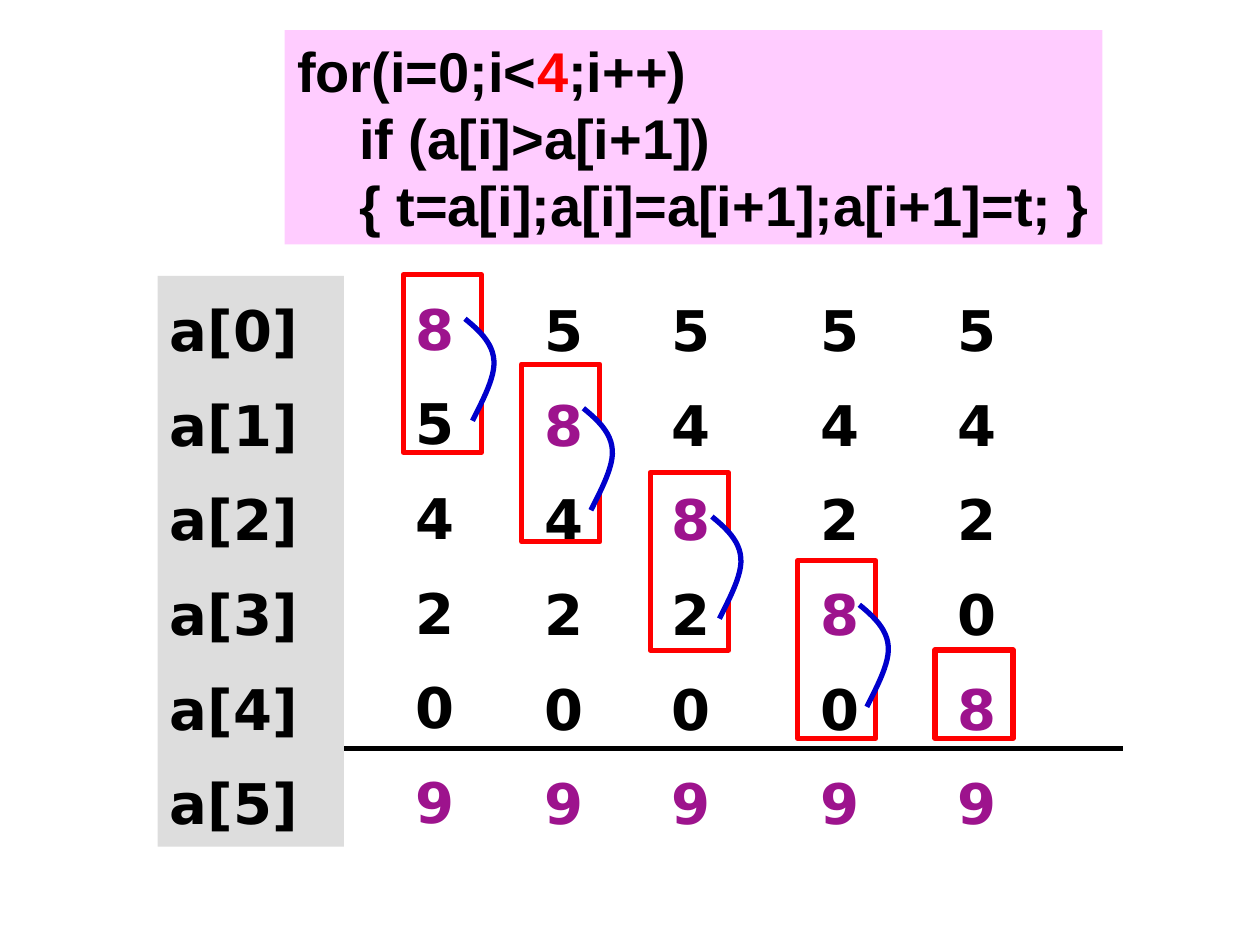
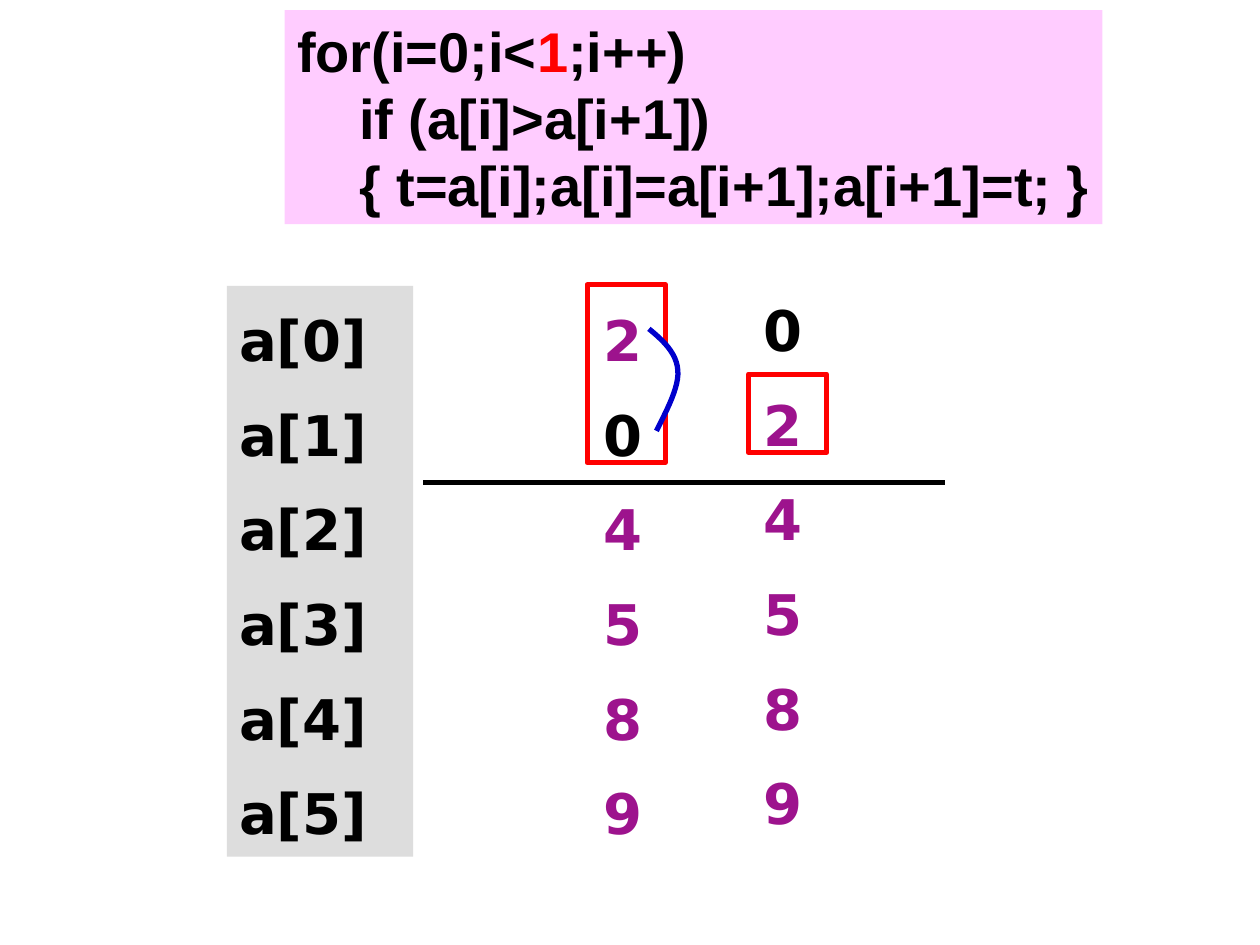
from dataclasses import dataclass

from lxml import etree
from pptx import Presentation
from pptx.dml.color import RGBColor
from pptx.enum.shapes import MSO_CONNECTOR, MSO_SHAPE
from pptx.enum.text import MSO_ANCHOR, MSO_AUTO_SIZE, PP_ALIGN
from pptx.oxml.ns import qn
from pptx.util import Pt

RECT, PROCESS = MSO_SHAPE.RECTANGLE, MSO_SHAPE.FLOWCHART_PROCESS
STRAIGHT = MSO_CONNECTOR.STRAIGHT
TOP, LEFT = MSO_ANCHOR.TOP, PP_ALIGN.LEFT
FIT, FIXED = MSO_AUTO_SIZE.SHAPE_TO_FIT_TEXT, MSO_AUTO_SIZE.NONE
PX = 9144


@dataclass(frozen=True)
class Theme:
    ink: str = "000000"
    settled: str = "9D138D"
    limit: str = "FF0000"
    frame: str = "FF0000"
    swap: str = "0000CC"
    paper: str = "FFFFFF"
    label_fill: str = "DDDDDD"
    code_fill: str = "FFCCFF"
    code_font: str = "Arial"
    array_font: str = "DejaVu Sans"
    size: int = 32
    stroke: int = 3


T = Theme()
CODE = {"name": T.code_font, "size": Pt(T.size), "bold": True}
ARRAY = {"name": T.array_font, "size": Pt(T.size), "bold": True}
CODE_FRAME = {"word_wrap": False, "auto_size": FIT, "vertical_anchor": TOP}
ARRAY_FRAME = {"word_wrap": True, "auto_size": FIXED, "vertical_anchor": TOP}
TIGHT = {"alignment": LEFT}
ROWS = {"alignment": LEFT, "line_spacing": 1.2}
ROW_GAP = Pt(8)

SWAP_START = (55, 116)
SWAP_CURVES = [
    [(55, 116), (64, 98), (73, 81), (72, 68)],
    [(72, 68), (71, 54), (60, 44), (49, 35)],
]
STEPS = 12

PASSES = [
    {
        "code_top": 24,
        "labels": (125, 219),
        "values": [8, 5, 4, 2, 0, 9],
        "limit": 4,
        "divider": (258, 891, 594),
        "columns": [(320, 218), (422, 219), (523, 219), (641, 219), (750, 219)],
        "frames": [(320, 218), (414, 289), (516, 375), (633, 445), (742, 516)],
        "last_height": 70,
    },
    {
        "code_top": 8,
        "labels": (180, 227),
        "values": [2, 0, 4, 5, 8, 9],
        "limit": 1,
        "divider": (336, 750, 383),
        "columns": [(469, 227), (596, 219)],
        "frames": [(466, 226), (594, 297)],
        "last_height": 62,
    },
]


def paint(sp, fill=None, line=None):
    sp.shadow.inherit = False
    for part, color in ((sp.fill, fill), (sp.line.fill, line)):
        if color:
            part.solid()
            part.fore_color.rgb = RGBColor.from_string(color)
        else:
            part.background()
    if line:
        sp.line.width = Pt(T.stroke)


def write(sp, lines, font, frame, layout, gap=0):
    tf = sp.text_frame
    for name, value in frame.items():
        setattr(tf, name, value)
    for i, runs in enumerate(lines):
        p = tf.add_paragraph() if i else tf.paragraphs[0]
        for name, value in layout.items():
            setattr(p, name, value)
        p.space_before = gap if i else 0
        for text, color in runs:
            r = p.add_run()
            r.text = text
            for name, value in font.items():
                setattr(r.font, name, value)
            r.font.color.rgb = RGBColor.from_string(color)


prs = Presentation()
prs.slide_width, prs.slide_height = 1000 * PX, 750 * PX

for sort in PASSES:
    s = prs.slides.add_slide(prs.slide_layouts[6])
    limit, values = sort["limit"], list(sort["values"])

    x1, x2, y = (v * PX for v in sort["divider"])
    divider = s.shapes.add_connector(STRAIGHT, x1, y, x2, y)
    divider.line.color.rgb = RGBColor.from_string(T.ink)
    divider.line.width = Pt(T.stroke)
    etree.SubElement(divider._element.spPr, qn("a:effectLst"))

    for i, ((x, y), (fx, fy)) in enumerate(zip(sort["columns"], sort["frames"])):
        sp = s.shapes.add_textbox(x * PX, y * PX, 78 * PX, 453 * PX)
        lines = [
            [(str(v), T.settled if row == i or row > limit else T.ink)]
            for row, v in enumerate(values)
        ]
        write(sp, lines, ARRAY, ARRAY_FRAME, ROWS, ROW_GAP)

        height = 141 if i < limit else sort["last_height"]
        sp = s.shapes.add_shape(PROCESS, fx * PX, fy * PX, 62 * PX, height * PX)
        paint(sp, line=T.frame)

        if i < limit:
            points = []
            for curve in SWAP_CURVES:
                for step in range(1, STEPS + 1):
                    t = step / STEPS
                    weights = ((1 - t) ** 3, 3 * t * (1 - t) ** 2, 3 * t * t * (1 - t), t**3)
                    dx, dy = (sum(w * c for w, c in zip(weights, axis)) for axis in zip(*curve))
                    points.append(((fx + dx) * PX, (fy + dy) * PX))
            builder = s.shapes.build_freeform((fx + SWAP_START[0]) * PX, (fy + SWAP_START[1]) * PX)
            builder.add_line_segments(points, close=False)
            paint(builder.convert_to_shape(), T.paper, T.swap)
            values[i], values[i + 1] = values[i + 1], values[i]

    x, y = sort["labels"]
    sp = s.shapes.add_shape(RECT, x * PX, y * PX, 148 * PX, 453 * PX)
    paint(sp, T.label_fill)
    labels = [[(f"a[{row}]", T.ink)] for row in range(len(values))]
    write(sp, labels, ARRAY, ARRAY_FRAME, ROWS, ROW_GAP)

    sp = s.shapes.add_shape(RECT, 226 * PX, sort["code_top"] * PX, 649 * PX, 170 * PX)
    paint(sp, T.code_fill)
    code = [
        [("for(i=0;i<", T.ink), (str(limit), T.limit), (";i++)", T.ink)],
        [("    if (a[i]>a[i+1])", T.ink)],
        [("    { t=a[i];a[i]=a[i+1];a[i+1]=t; }", T.ink)],
    ]
    write(sp, code, CODE, CODE_FRAME, TIGHT)

prs.save("out.pptx")
